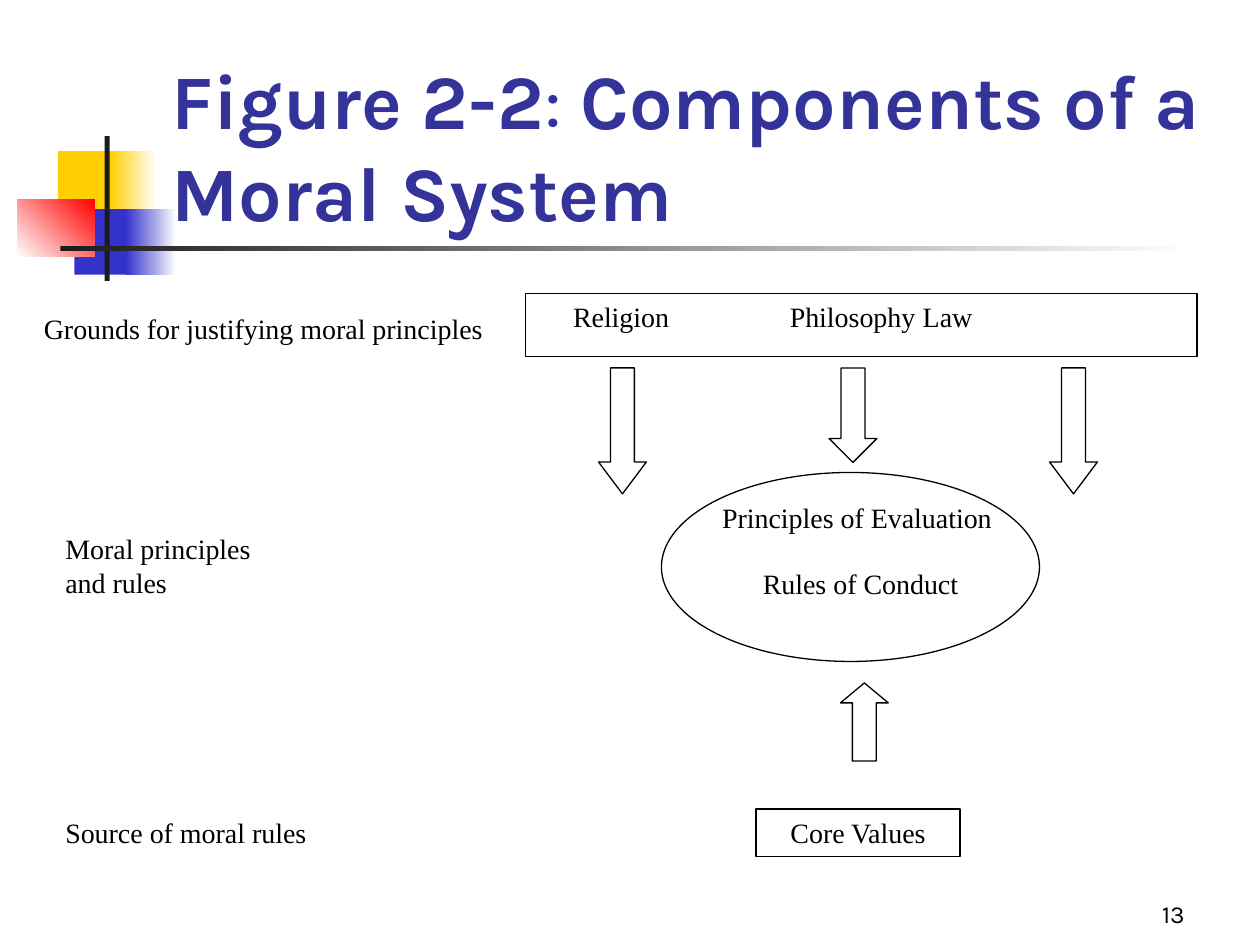
from pptx import Presentation
from pptx.dml.color import RGBColor
from pptx.enum import shapes, text
from pptx.util import Inches, Pt

COLORS = {"yellow": "FFCF01", "blue": "3333CC", "red": "FF0000", "ink": "1C1C1C",
          "white": "FFFFFF", "black": "000000", "title": "333399"}
KIND = shapes.MSO_SHAPE
ALIGN = text.PP_ALIGN
ANCHOR = text.MSO_ANCHOR

presentation = Presentation()
presentation.slide_width, presentation.slide_height = Inches(10), Inches(7.5)
slide = presentation.slides.add_slide(presentation.slide_layouts[6])


def add_shape(kind, box, fill="white", fade_to=None, angle=0, line=None):
    shape = slide.shapes.add_shape(kind, *map(Inches, box))
    shape.shadow.inherit = False
    if fade_to:
        shape.fill.gradient()
        shape.fill.gradient_angle = angle
        for stop, position, name in zip(shape.fill.gradient_stops, (0, 1), (fill, fade_to)):
            stop.position = position
            stop.color.rgb = RGBColor.from_string(COLORS[name])
    else:
        shape.fill.solid()
        shape.fill.fore_color.rgb = RGBColor.from_string(COLORS[fill])
    if line:
        shape.line.color.rgb = RGBColor.from_string(COLORS[line])
        shape.line.width = Pt(0.75)
    else:
        shape.line.fill.background()
    return shape


def write(shape, paragraphs, size=16, font="Times New Roman", color="black",
          align=ALIGN.LEFT, anchor=ANCHOR.TOP, gap=0):
    """Each paragraph is a list of (words, bold) runs."""
    frame = shape.text_frame
    frame.word_wrap = True
    frame.vertical_anchor = anchor
    for index, runs in enumerate(paragraphs):
        paragraph = frame.paragraphs[0] if index == 0 else frame.add_paragraph()
        paragraph.alignment = align
        if index:
            paragraph.space_before = Pt(gap)
        for words, bold in runs:
            run = paragraph.add_run()
            run.text = words
            values = {"size": Pt(size), "name": font, "bold": bold}
            for key, value in values.items():
                setattr(run.font, key, value)
            run.font.color.rgb = RGBColor.from_string(COLORS[color])
    return frame


# Corner decoration and rule under the title
for box, fill, fade_to, angle in [
    ((0.46, 1.2, 0.48, 0.52), "yellow", None, 0),
    ((0.88, 1.2, 0.36, 0.52), "yellow", "white", 0),
    ((0.59, 1.66, 0.46, 0.52), "blue", None, 0),
    ((1, 1.66, 0.4, 0.52), "blue", "white", 0),
    ((0.14, 1.58, 0.61, 0.46), "white", "red", 45),
    ((0.83, 1.08, 0.04, 1.15), "ink", None, 0),
    ((0.48, 1.95, 9, 0.04), "ink", "white", 0),
]:
    add_shape(KIND.RECTANGLE, box, fill, fade_to, angle)

# Title
title = slide.shapes.add_textbox(Inches(1.26), Inches(0.68), Inches(8.52), Inches(1.25))
write(title, [[("Figure 2-2", True), (": ", False), ("Components of a Moral System", True)]],
      size=44, font="Karla", color="title", anchor=ANCHOR.BOTTOM)

# Grounds row, spaced by the default half-inch tab stops
grounds_label = add_shape(KIND.RECTANGLE, (0.25, 2.42, 3.83, 0.62))
write(grounds_label, [[("Grounds for justifying moral principles", False)]])
grounds = add_shape(KIND.RECTANGLE, (4.17, 2.33, 5.33, 0.5), line="black")
frame = write(grounds, [[("Religion\t\tPhilosophy\t Law", False)]])
properties = frame.paragraphs[0]._p.get_or_add_pPr()
properties.set("marL", "0")
properties.set("indent", str(Inches(0.28)))

# Arrows into the ellipse
for kind, left, top, height, head in [
    (KIND.DOWN_ARROW, 4.75, 2.92, 1, 0.667),
    (KIND.DOWN_ARROW, 6.58, 2.92, 0.75, 0.5),
    (KIND.DOWN_ARROW, 8.33, 2.92, 1, 0.667),
    (KIND.UP_ARROW, 6.67, 5.42, 0.62, 0.417),
]:
    arrow = add_shape(kind, (left, top, 0.38, height), line="black")
    arrow.adjustments[0], arrow.adjustments[1] = 0.5, head

# Principles and rules
add_shape(KIND.OVAL, (5.25, 3.75, 3, 1.5), line="black")
rules = slide.shapes.add_textbox(Inches(5.33), Inches(3.92), Inches(3), Inches(1.17))
write(rules, [[("Principles of Evaluation\u00a0", False)], [("Rules of Conduct", False)]],
      align=ALIGN.CENTER, gap=19)
rules_label = slide.shapes.add_textbox(Inches(0.42), Inches(4.17), Inches(3.58), Inches(0.64))
write(rules_label, [[("Moral principles", False)], [("and rules", False)]])

# Source row
source_label = slide.shapes.add_textbox(Inches(0.42), Inches(6.42), Inches(2.83), Inches(0.37))
write(source_label, [[("Source of moral rules", False)]])
core_values = add_shape(KIND.RECTANGLE, (6, 6.42, 1.62, 0.38), line="black")
write(core_values, [[("Core Values", False)]], align=ALIGN.CENTER)

# Slide number
number = slide.shapes.add_textbox(Inches(7.42), Inches(6.92), Inches(2.08), Inches(0.5))
write(number, [[("13", False)]], size=14, font="Karla", align=ALIGN.RIGHT, anchor=ANCHOR.BOTTOM)

presentation.save("out.pptx")
